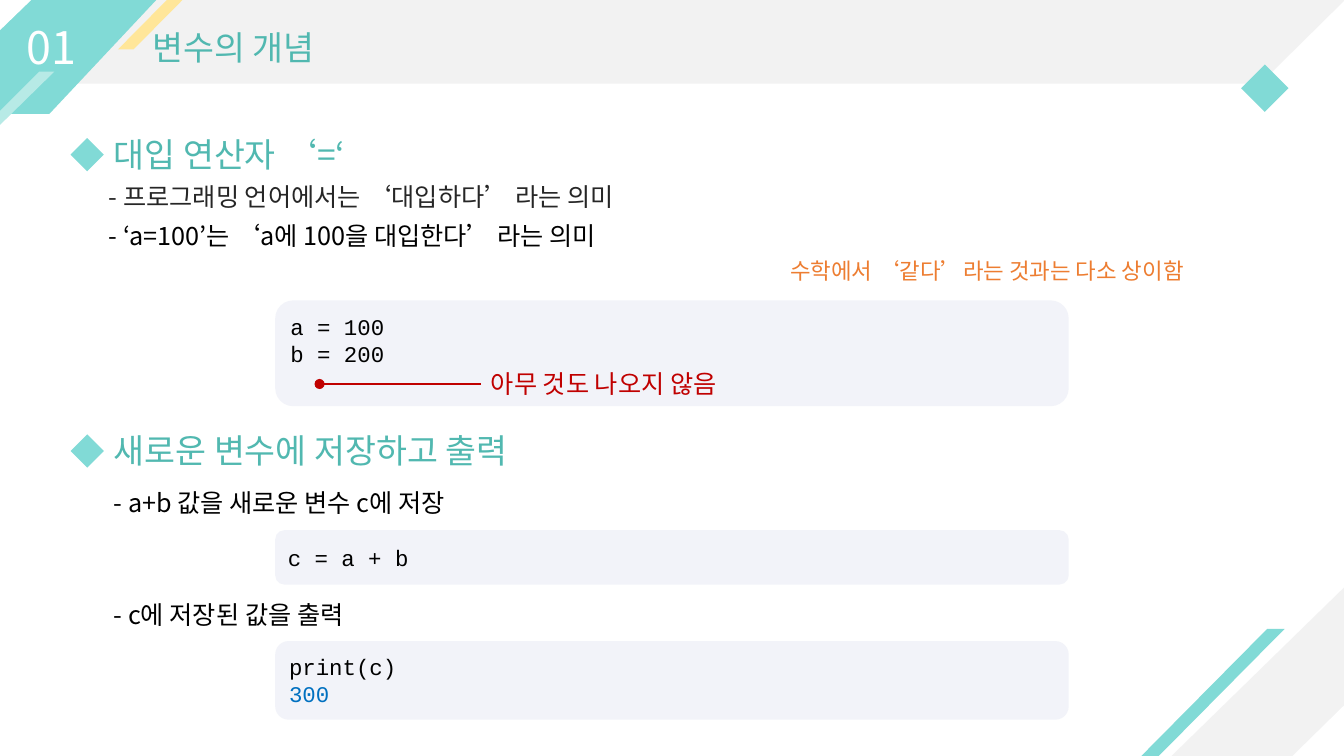
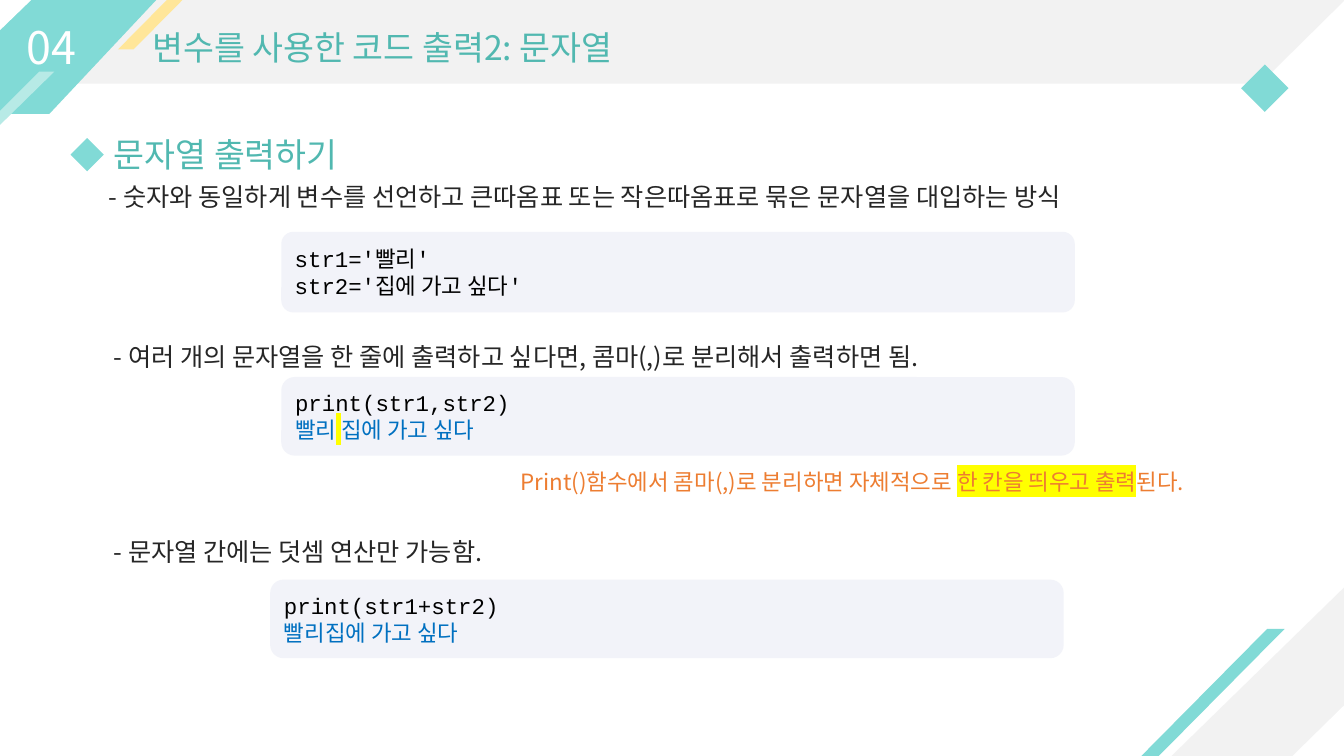
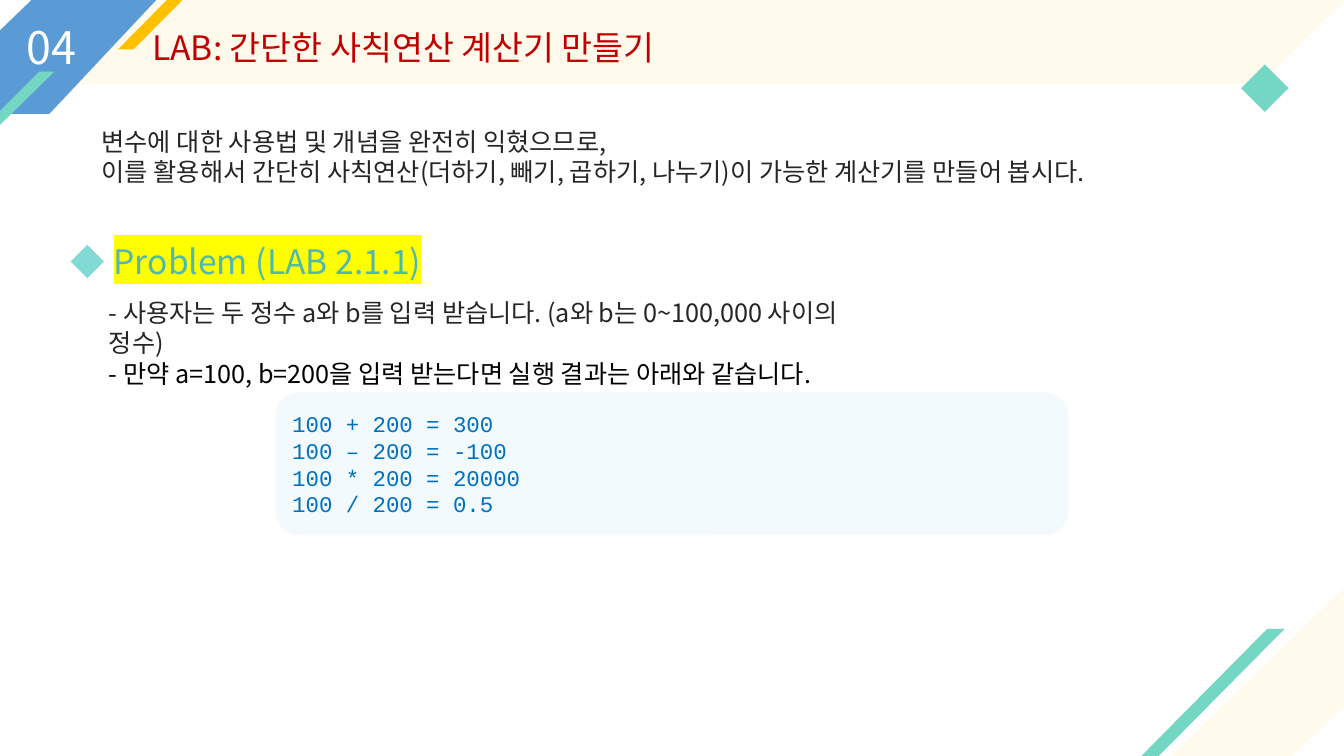
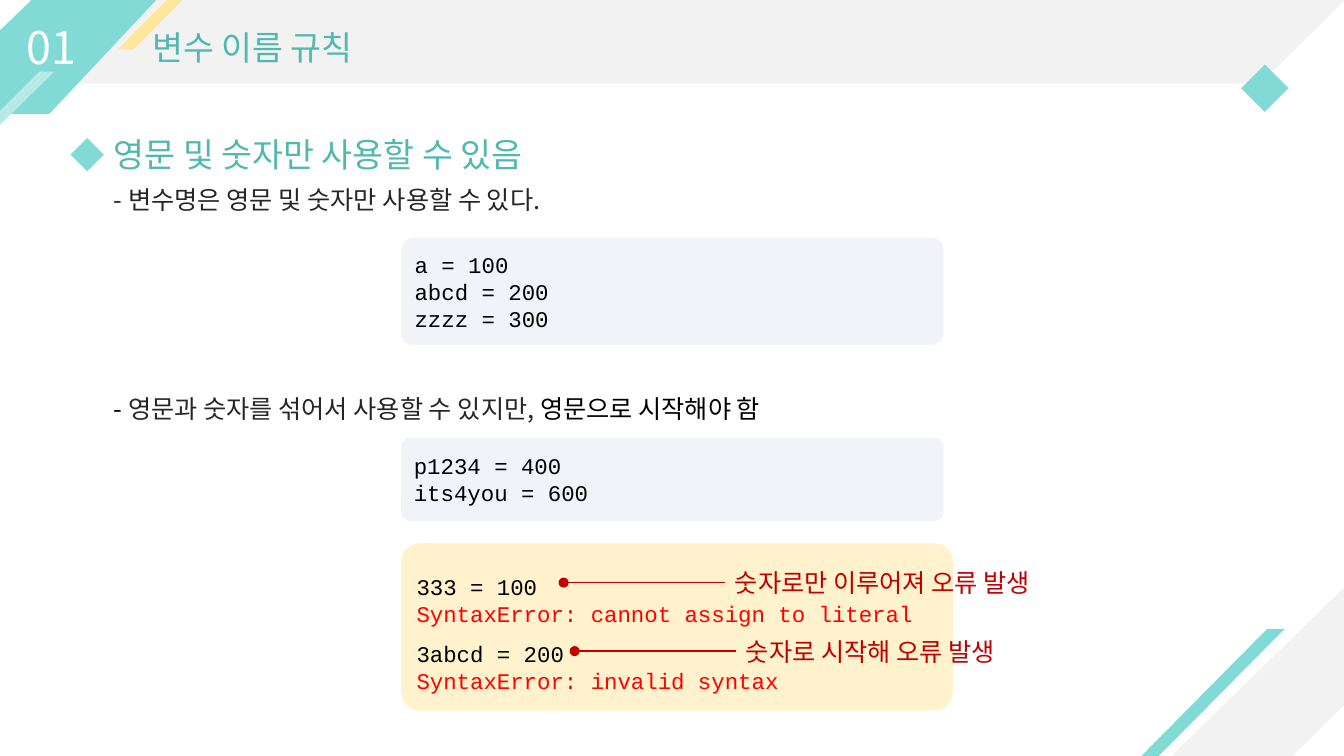
"""Builds four Korean lesson slides on Python variables."""
from lxml import etree
from pptx import Presentation
from pptx.dml.color import RGBColor
from pptx.enum.shapes import MSO_CONNECTOR, MSO_SHAPE
from pptx.enum.text import MSO_ANCHOR, MSO_AUTO_SIZE, PP_ALIGN
from pptx.oxml.ns import qn
from pptx.util import Pt

PX = 9144
LEFT, CENTER, RIGHT = PP_ALIGN.LEFT, PP_ALIGN.CENTER, PP_ALIGN.RIGHT
DIAMOND, OVAL = MSO_SHAPE.DIAMOND, MSO_SHAPE.OVAL
TRIANGLE, SLANT = MSO_SHAPE.RIGHT_TRIANGLE, MSO_SHAPE.PARALLELOGRAM
ROUNDED, STRAIGHT = MSO_SHAPE.ROUNDED_RECTANGLE, MSO_CONNECTOR.STRAIGHT
SANS, MONO = "Noto Sans CJK KR", "Courier New"

WHITE, BLACK, INK = "FFFFFF", "000000", "262626"
TEAL, AQUA, ORANGE, CRIMSON = "51B8B0", "81DAD6", "ED7D31", "C00000"
BLUE, RED, YELLOW = "0070C0", "FF0000", "FFFF00"
CODE_FILL = "F2F3F9"

LESSON = dict(band="F2F2F2", corner=AQUA, accent=AQUA, slash="FFE699", stripe="B7EAE6", title=TEAL)
LAB = dict(band="FFFAEB", corner="5B9BD5", accent="73D7C4", slash="FFC000", stripe="73D7C4", title=CRIMSON)

TEXT_FRAME = dict(word_wrap=True, auto_size=MSO_AUTO_SIZE.SHAPE_TO_FIT_TEXT, vertical_anchor=MSO_ANCHOR.TOP)
CODE_FRAME = dict(word_wrap=True, auto_size=MSO_AUTO_SIZE.NONE, vertical_anchor=MSO_ANCHOR.MIDDLE)

BACKDROP = [
    (TRIANGLE, (1162, 583, 171, 167), "band", "flipH", None),
    (SLANT, (38, 0, 1233, 83), "band", None, None),
    (TRIANGLE, (1250, 0, 84, 83), "band", "flipV", None),
    (DIAMOND, (1231, 64, 47, 47), "accent", None, None),
    ("outline", [(0, 0), (155, 0), (49, 113), (0, 113)], "corner", None, None),
    (TRIANGLE, (0, 0, 31, 30), "white", "flipV", None),
    (TRIANGLE, (1282, 700, 51, 50), "white", "flipH", None),
    (SLANT, (1132, 624, 142, 126), "accent", None, 0.99),
    (SLANT, (117, 0, 64, 49), "slash", None, 0.99),
    ("outline", [(0, 110), (39, 71), (54, 71), (0, 124)], "stripe", None, None),
]

LESSONS = [
    dict(
        theme=LESSON, number="01", title="변수의 개념",
        headings=[(137, ("대입 연산자 ‘=‘", TEAL)), (431, ("새로운 변수에 저장하고 출력", TEAL))],
        body=((98, 175, 1127, 79), 6, [
            [("- 프로그래밍 언어에서는 ‘대입하다’ 라는 의미", INK)],
            [("- ‘a=100’는 ‘a에 100을 대입한다’ 라는 의미", BLACK)]]),
        points=[
            ((103, 479, 1066, 40), [[("- a+b 값을 새로운 변수 c에 저장", BLACK)]]),
            ((103, 590, 1066, 40), [[("- c에 저장된 값을 출력", BLACK)]])],
        remarks=[(250, [("수학에서 ‘같다’라는 것과는 다소 상이함", ORANGE)])],
        codes=[
            dict(box=(273, 298, 787, 105), bottom=32,
                 lines=[[("a = 100", BLACK)], [("b = 200", BLACK)]]),
            dict(box=(273, 526, 787, 54), lines=[[("c = a + b", BLACK)]]),
            dict(box=(273, 636, 787, 78), lines=[[("print(c)", BLACK)], [("300", BLUE)]])],
        callouts=[(317, 381, 296, "아무 것도 나오지 않음")],
    ),
    dict(
        theme=LESSON, number="04", title="변수를 사용한 코드 출력2: 문자열",
        headings=[(137, ("문자열 출력하기", TEAL))],
        body=((98, 175, 1127, 40), 0, [
            [("- 숫자와 동일하게 변수를 선언하고 큰따옴표 또는 작은따옴표로 묶은 문자열을 대입하는 방식", INK)]]),
        points=[
            ((103, 334, 1127, 40),
             [[("- 여러 개의 문자열을 한 줄에 출력하고 싶다면, 콤마(,)로 분리해서 출력하면 됨.", INK)]]),
            ((103, 527, 1127, 40), [[("- 문자열 간에는 덧셈 연산만 가능함.", INK)]])],
        remarks=[(460, [("Print()함수에서 콤마(,)로 분리하면 자체적으로 ", ORANGE),
                        ("한 칸을 띄우고 출력", ORANGE, YELLOW), ("된다.", ORANGE)])],
        codes=[
            dict(box=(279, 230, 787, 80), corner=0.15,
                 lines=[[("str1='빨리'", BLACK)], [("str2='집에 가고 싶다'", BLACK)]]),
            dict(box=(279, 374, 787, 78),
                 lines=[[("print(str1,str2)", BLACK)],
                        [("빨리", BLUE), (" ", BLUE, YELLOW), ("집에 가고 싶다", BLUE)]]),
            dict(box=(268, 575, 787, 78),
                 lines=[[("print(str1+str2)", BLACK)], [("빨리집에 가고 싶다", BLUE)]])],
        callouts=[],
    ),
    dict(
        theme=LAB, number="04", title="LAB: 간단한 사칙연산 계산기 만들기",
        headings=[(243, ("Problem (LAB 2.1.1)", TEAL, YELLOW))],
        body=((98, 290, 789, 101), 0, [
            [("- 사용자는 두 정수 a와 b를 입력 받습니다. (a와 b는 0~100,000 사이의 정수)", INK)],
            [("- 만약 a=100, b=200을 입력 받는다면 실행 결과는 아래와 같습니다.", BLACK)]]),
        points=[
            ((91, 120, 1127, 71), [
                [("변수에 대한 사용법 및 개념을 완전히 익혔으므로,", INK)],
                [("이를 활용해서 간단히 사칙연산(더하기, 빼기, 곱하기, 나누기)이 가능한 계산기를 만들어 봅시다.", INK)]])],
        remarks=[],
        codes=[
            dict(box=(273, 389, 787, 142), fill="F3FAFE",
                 lines=[[("100 + 200 = 300", BLUE)], [("100 – 200 = -100", BLUE)],
                        [("100 * 200 = 20000", BLUE)], [("100 / 200 = 0.5", BLUE)]])],
        callouts=[],
    ),
    dict(
        theme=LESSON, number="01", title="변수 이름 규칙",
        headings=[(137, ("영문 및 숫자만 사용할 수 있음", TEAL))],
        body=((103, 178, 1127, 40), 0, [[("- 변수명은 영문 및 숫자만 사용할 수 있다.", INK)]]),
        points=[
            ((103, 385, 907, 40),
             [[("- ", BLACK), ("영문과 숫자를 섞어서 사용할 수 있지만, ", INK), ("영문으로 시작해야 함", BLACK)]])],
        remarks=[],
        codes=[
            dict(box=(398, 236, 538, 106), corner=0.11,
                 lines=[[("a = 100", BLACK)], [("abcd = 200", BLACK)], [("zzzz = 300", BLACK)]]),
            dict(box=(398, 434, 538, 83), corner=0.11,
                 lines=[[("p1234 = 400", BLACK)], [("its4you = 600", BLACK)]]),
            dict(box=(398, 539, 547, 166), corner=0.11, fill="FFF2CC", leading=(1.5, 1.0, 1.5, 1.0),
                 lines=[[("333 = 100", BLACK)], [("SyntaxError: cannot assign to literal", RED)],
                        [("3abcd = 200", BLACK)], [("SyntaxError: invalid syntax", RED)]])],
        callouts=[(559, 578, 453, "숫자로만 이루어져 오류 발생"), (570, 646, 442, "숫자로 시작해 오류 발생")],
    ),
]


def paint(shape, colour):
    """Give a shape a plain fill with neither outline nor shadow."""
    shape.fill.solid()
    shape.fill.fore_color.rgb = RGBColor.from_string(colour)
    shape.line.fill.background()
    shape.shadow.inherit = False


def write(shape, lines, size, align=LEFT, latin=SANS, frame_format=TEXT_FRAME, gap=0):
    """Fill a shape with paragraphs made of (text, colour, highlight) runs."""
    frame = shape.text_frame
    for name, value in frame_format.items():
        setattr(frame, name, value)
    for index, runs in enumerate(lines):
        paragraph = frame.add_paragraph() if index else frame.paragraphs[0]
        paragraph.alignment = align
        paragraph.space_before = Pt(gap if index else 0)
        for text, colour, *marker in runs:
            run = paragraph.add_run()
            run.text = text
            run.font.size = Pt(size)
            run.font.name = latin
            run.font.color.rgb = RGBColor.from_string(colour)
            latin_font = run.font._element.find(qn("a:latin"))
            east_asian = etree.Element(qn("a:ea"), typeface=SANS)
            latin_font.addnext(east_asian)
            for mark in marker:
                highlight = etree.Element(qn("a:highlight"))
                etree.SubElement(highlight, qn("a:srgbClr"), val=mark)
                latin_font.addprevious(highlight)


deck = Presentation()
deck.slide_width, deck.slide_height = 1333 * PX, 750 * PX

for lesson in LESSONS:
    slide = deck.slides.add_slide(deck.slide_layouts[1])
    shapes = slide.shapes
    palette = dict(lesson["theme"], white=WHITE)

    for kind, geometry, role, flip, slope in BACKDROP:
        if kind == "outline":
            outline = shapes.build_freeform(*geometry[0], scale=PX)
            outline.add_line_segments(geometry[1:], close=True)
            ornament = outline.convert_to_shape()
        else:
            ornament = shapes.add_shape(kind, *[n * PX for n in geometry])
        if flip:
            ornament.element.spPr.get_or_add_xfrm().set(flip, "1")
        if slope:
            ornament.adjustments[0] = slope
        paint(ornament, palette[role])

    number = shapes.add_textbox(0, 15 * PX, 103 * PX, 64 * PX)
    write(number, [[(lesson["number"], WHITE)]], 32, CENTER)

    body_box, body_gap, body_lines = lesson["body"]
    title, body = shapes.title, slide.placeholders[1]
    for placeholder, box in ((title, (141, 22, 708, 50)), (body, body_box)):
        for side, length in zip(("left", "top", "width", "height"), box):
            setattr(placeholder, side, length * PX)
        shapes.element.append(placeholder.element)
    write(title, [[(lesson["title"], palette["title"])]], 24)
    write(body, body_lines, 18, gap=body_gap)
    for paragraph in body.text_frame.paragraphs:
        properties = paragraph._p.get_or_add_pPr()
        properties.set("marL", "0")
        properties.set("indent", "0")
        etree.SubElement(properties, qn("a:buNone"))

    for top, heading_run in lesson["headings"]:
        marker = shapes.add_shape(DIAMOND, 70 * PX, top * PX, 33 * PX, 33 * PX)
        paint(marker, AQUA)
        heading = shapes.add_textbox(103 * PX, (top - 9) * PX, 873 * PX, 50 * PX)
        write(heading, [[heading_run]], 24)

    for box, lines in lesson["points"]:
        point = shapes.add_textbox(*[n * PX for n in box])
        write(point, lines, 18)

    for top, runs in lesson["remarks"]:
        remark = shapes.add_textbox(125 * PX, top * PX, 1059 * PX, 37 * PX)
        write(remark, [runs], 16, RIGHT)

    for code in lesson["codes"]:
        panel = shapes.add_shape(ROUNDED, *[n * PX for n in code["box"]])
        panel.adjustments[0] = code.get("corner", 0.17)
        paint(panel, code.get("fill", CODE_FILL))
        write(panel, code["lines"], 16, latin=MONO, frame_format=CODE_FRAME)
        panel.text_frame.margin_bottom = code.get("bottom", 5) * PX
        for paragraph, leading in zip(panel.text_frame.paragraphs, code.get("leading", ())):
            paragraph.line_spacing = leading

    for x, y, width, text in lesson["callouts"]:
        callout = shapes.add_textbox((x + 160) * PX, (y - 20) * PX, width * PX, 40 * PX)
        write(callout, [[(text, CRIMSON)]], 18)
        leader = shapes.add_connector(STRAIGHT, x * PX, y * PX, (x + 160) * PX, y * PX)
        leader.end_connect(callout, 1)
        leader.line.color.rgb = RGBColor.from_string(CRIMSON)
        leader.line.width = Pt(1)
        etree.SubElement(leader.element.spPr, qn("a:effectLst"))
        dot = shapes.add_shape(OVAL, (x - 5) * PX, (y - 5) * PX, 10 * PX, 10 * PX)
        paint(dot, CRIMSON)

deck.save("out.pptx")
